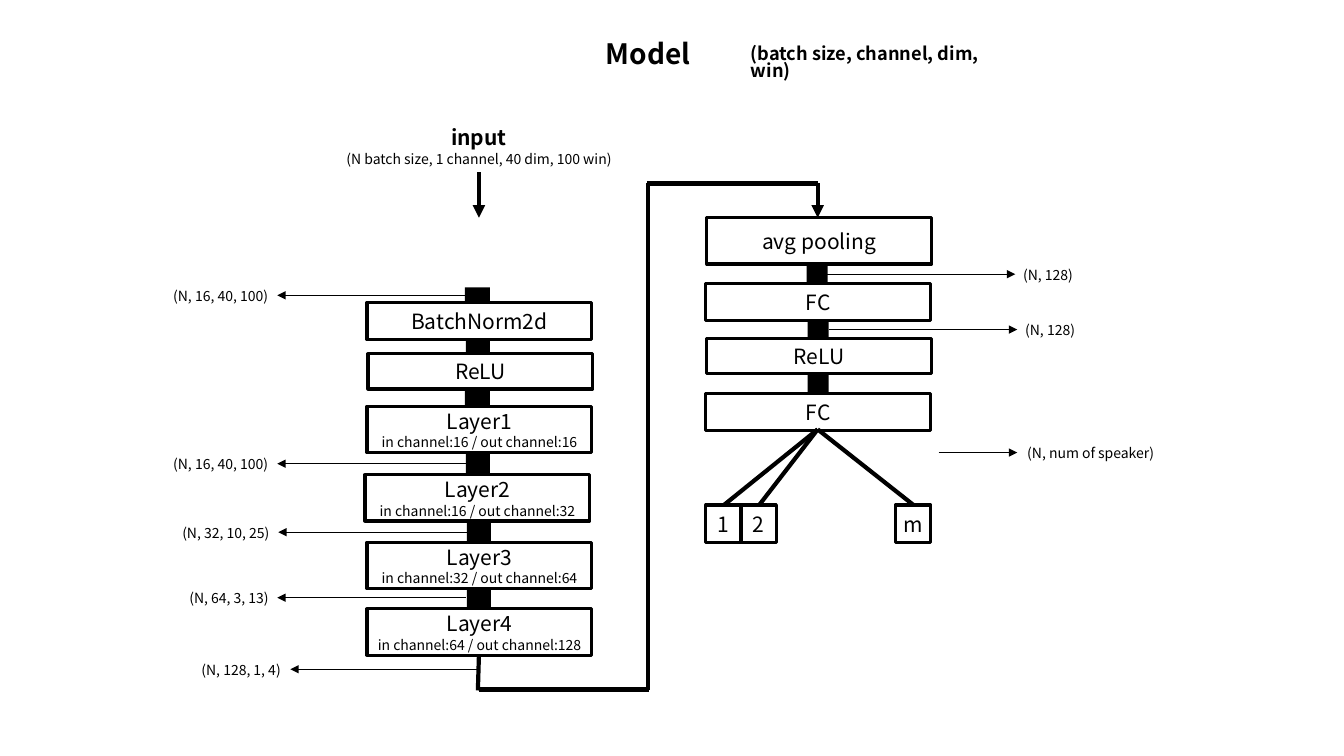
from lxml import etree
from pptx import Presentation
from pptx.dml.color import RGBColor
from pptx.enum.shapes import MSO_CONNECTOR as CONN, MSO_SHAPE as SHAPE
from pptx.enum.text import MSO_ANCHOR as ANCHOR, PP_ALIGN as ALIGN
from pptx.oxml.ns import qn
from pptx.util import Inches, Pt

BLACK = RGBColor(0, 0, 0)
FONT = "Noto Sans CJK KR"
BOX_W = 2.23
THICK, THIN = 3, 0.5


def write(tf, text, size=15, bold=False, align=ALIGN.CENTER, spacing=None, first=True):
    """Write one paragraph into a text frame."""
    p = tf.paragraphs[0] if first else tf.add_paragraph()
    p.alignment = align
    if spacing:
        p.line_spacing = spacing
    r = p.add_run()
    r.text = text
    r.font.name, r.font.size, r.font.bold = FONT, Pt(size), bold
    r.font.color.rgb = BLACK


def add_text(s, x, y, w, h, text, **fmt):
    """Add a wrapping text box and return its text frame."""
    tf = s.shapes.add_textbox(Inches(x), Inches(y), Inches(w), Inches(h)).text_frame
    tf.word_wrap = True
    write(tf, text, **fmt)
    return tf


def add_rect(s, x, y, w, h):
    """Add a plain rectangle without shadow."""
    sp = s.shapes.add_shape(SHAPE.RECTANGLE, Inches(x), Inches(y), Inches(w), Inches(h))
    sp.shadow.inherit = False
    return sp


def add_box(s, x, y, w, h, title, detail=None):
    """Add an outlined box with a title and an optional detail line."""
    sp = add_rect(s, x, y, w, h)
    sp.fill.background()
    sp.line.color.rgb, sp.line.width = BLACK, Pt(2.25)
    tf = sp.text_frame
    tf.vertical_anchor = ANCHOR.MIDDLE
    tf.margin_left = tf.margin_right = Inches(0.05)
    write(tf, title)
    if detail:
        write(tf, detail, size=10, first=False)


def add_joint(s, x, y, w, h):
    """Add a solid black block that joins two boxes."""
    sp = add_rect(s, x, y, w, h)
    sp.fill.solid()
    sp.fill.fore_color.rgb = BLACK
    sp.line.fill.background()


def add_line(s, start, end, width=THICK, arrow=False):
    """Add a straight line, with an arrowhead at its end if asked."""
    c = s.shapes.add_connector(CONN.STRAIGHT, *map(Inches, start + end))
    c.line.color.rgb, c.line.width = BLACK, Pt(width)
    if arrow:
        etree.SubElement(c.line._get_or_add_ln(), qn("a:tailEnd"), type="triangle")
    etree.SubElement(c._element.spPr, qn("a:effectLst"))


def add_shape_note(s, start, end, text_x, text):
    """Add a thin arrow leading to the tensor size at that point."""
    add_line(s, start, end, THIN, arrow=True)
    add_text(s, text_x, end[1] - 0.13, 1.53 if "speaker" in text else 1.2, 0.27,
             text, size=10, align=ALIGN.LEFT)


def add_convolution_column(s):
    """Draw the left column, from the input to the last layer."""
    tf = add_text(s, 2.96, 1.19, 3.58, 0.52, "input", bold=True)
    write(tf, "(N batch size, 1 channel, 40 dim, 100 win)", size=10, first=False)
    add_line(s, (4.75, 1.71), (4.75, 2.16), arrow=True)

    add_box(s, 3.64, 3, BOX_W, 0.37, "BatchNorm2d")
    add_box(s, 3.65, 3.51, BOX_W, 0.35, "ReLU")
    layers = [(3.64, 4.03, 16, 16), (3.62, 4.71, 16, 32),
              (3.64, 5.38, 32, 64), (3.64, 6.04, 64, 128)]
    for i, (x, y, n_in, n_out) in enumerate(layers, 1):
        add_box(s, x, y, BOX_W, 0.46, f"Layer{i}",
                f"in channel:{n_in} / out channel:{n_out}")

    for x, y, w, h in [(4.61, 2.85, 0.25, 0.15), (4.62, 3.38, 0.24, 0.12),
                       (4.61, 3.86, 0.25, 0.16), (4.62, 4.49, 0.24, 0.21),
                       (4.63, 5.16, 0.24, 0.21), (4.63, 5.84, 0.24, 0.21)]:
        add_joint(s, x, y, w, h)

    for x, y, text_x, text in [(4.62, 2.93, 1.62, "(N, 16, 40, 100)"),
                               (4.62, 4.6, 1.62, "(N, 16, 40, 100)"),
                               (4.63, 5.28, 1.71, "(N, 32, 10, 25)"),
                               (4.62, 5.93, 1.78, "(N, 64, 3, 13)"),
                               (4.75, 6.64, 1.9, "(N, 128, 1, 4)")]:
        add_shape_note(s, (x, y), (x - 1.87, y), text_x, text)


def add_bridge(s):
    """Draw the thick path from the last layer to the pooling box."""
    add_line(s, (4.75, 6.5), (4.74, 6.85))
    add_line(s, (4.75, 6.84), (6.44, 6.84))
    add_line(s, (6.43, 6.85), (6.43, 1.82))
    add_line(s, (6.42, 1.82), (8.11, 1.82))
    add_line(s, (8.11, 1.82), (8.11, 2.16), arrow=True)


def add_classifier_column(s):
    """Draw the right column, from pooling to the speaker outputs."""
    for x, y, h, title in [(7.01, 2.16, 0.46, "avg pooling"), (7, 2.81, 0.37, "FC"),
                           (7.01, 3.36, 0.35, "ReLU"), (7, 3.9, 0.37, "FC")]:
        add_box(s, x, y, BOX_W, h, title)
    for x, y in [(8, 2.62), (8.01, 3.17), (8.01, 3.72)]:
        add_joint(s, x, y, 0.21, 0.19)
    for x, title in [(7, "1"), (7.35, "2"), (8.88, "m")]:
        add_box(s, x, 5.01, 0.35, 0.37, title)
        add_line(s, (x + 0.18, 5.01), (8.11, 4.26))
    for x, end, y, text_x, text in [(8.2, 10.07, 2.72, 10.05, "(N, 128)"),
                                    (8.22, 10.09, 3.27, 10.07, "(N, 128)"),
                                    (9.31, 10.09, 4.49, 10.09, "(N, num of speaker)")]:
        add_shape_note(s, (x, y), (end, y), text_x, text)


def main():
    """Build the slide and save it."""
    prs = Presentation()
    prs.slide_width, prs.slide_height = Inches(13.33), Inches(7.5)
    s = prs.slides.add_slide(prs.slide_layouts[6])
    add_text(s, 4.64, 0.31, 3.58, 0.44, "Model", size=20, bold=True)
    add_text(s, 7.35, 0.41, 2.7, 0.32, "(batch size, channel, dim, win)",
             size=13, bold=True, align=ALIGN.LEFT, spacing=0.8)
    add_convolution_column(s)
    add_bridge(s)
    add_classifier_column(s)
    prs.save("out.pptx")


if __name__ == "__main__":
    main()
